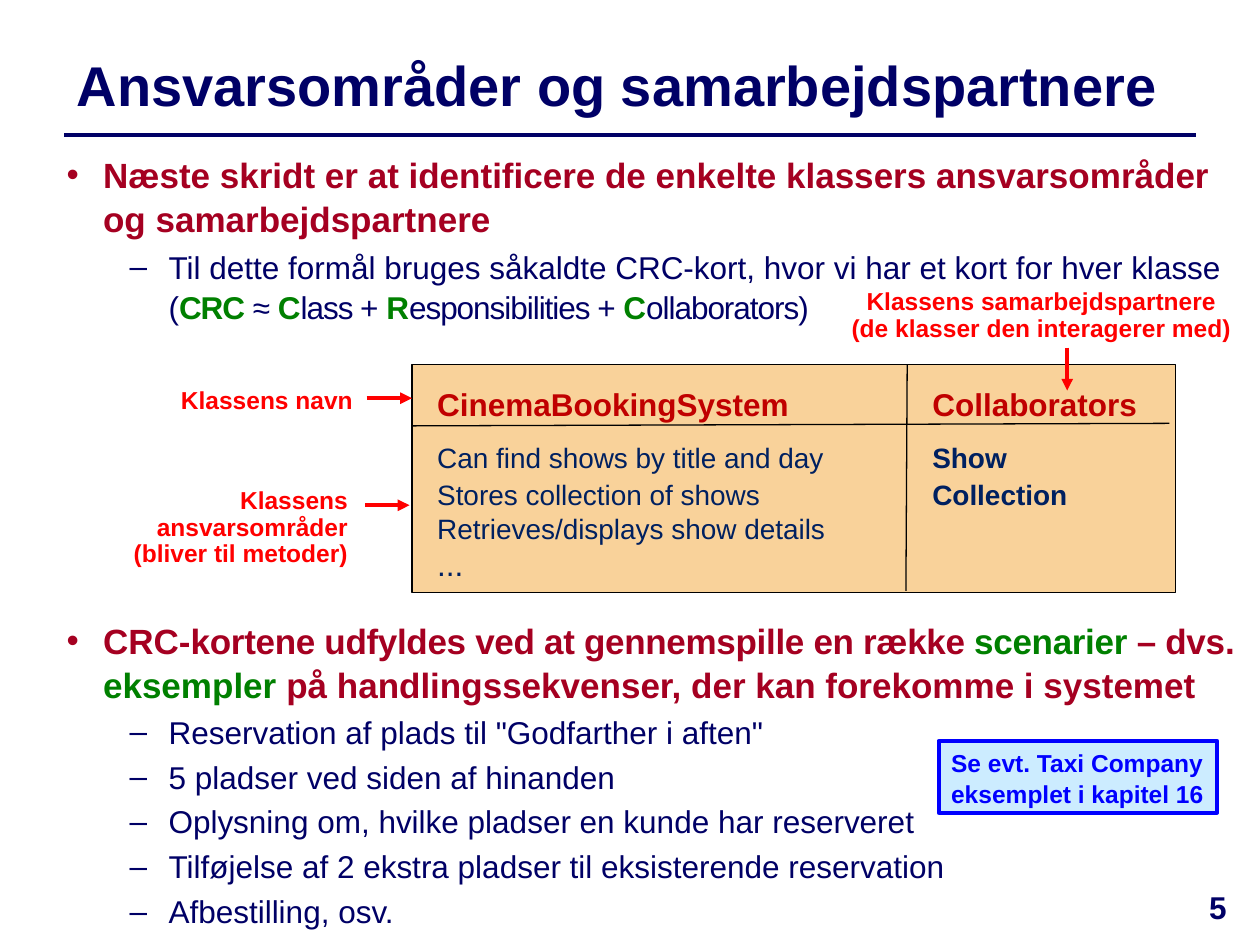
from copy import deepcopy

from lxml.etree import SubElement as Sub
from pptx import Presentation
from pptx.dml.color import RGBColor as RGB
from pptx.enum.shapes import MSO_CONNECTOR as Conn, MSO_SHAPE as Kind
from pptx.enum.text import MSO_ANCHOR as Anchor, PP_ALIGN as Align
from pptx.oxml.ns import qn
from pptx.util import Inches, Pt

NAVY = RGB(0x00, 0x00, 0x66)
WINE = RGB(0xA5, 0x00, 0x21)
GREEN = RGB(0x00, 0x80, 0x00)
RED = RGB(0xFF, 0x00, 0x00)
BRICK = RGB(0xC0, 0x00, 0x00)
INK = RGB(0x00, 0x20, 0x60)
BLUE = RGB(0x00, 0x00, 0xFF)
SKY = RGB(0xCC, 0xEC, 0xFF)
SAND = RGB(0xF9, 0xD2, 0x9A)
WHITE = RGB(0xFF, 0xFF, 0xFF)
BLACK = RGB(0x00, 0x00, 0x00)


class Deck:
    """Holds the style and the current slide."""
    face = "Arial"

    def __init__(self, slide):
        self.slide = slide

    def style(self, run, size, color, bold, space=None):
        font = run.font
        font.name, font.size, font.bold = self.face, Pt(size), bold
        font.color.rgb = color
        if space is not None:
            run._r.get_or_add_rPr().set("spc", str(round(space * 100)))

    def fill_par(self, par, text, size, color, bold=True, align=Align.LEFT,
                 lead=1.0, before=0, after=0):
        """Text is a string, or a list of strings and (string, changes)."""
        base = dict(size=size, color=color, bold=bold)
        if isinstance(text, str):
            par.text = text
            for run in par.runs:
                self.style(run, **base)
        else:
            for part in text:
                words, diff = (part, {}) if isinstance(part, str) else part
                if words == "\v":
                    par.add_line_break()
                    continue
                run = par.add_run()
                run.text = words
                self.style(run, **{**base, **diff})
        # Line breaks take the size of the text
        for brk in par._p.findall(qn("a:br")):
            brk.append(deepcopy(par.runs[0]._r.rPr))
        par.alignment, par.line_spacing = align, lead
        par.space_before, par.space_after = Pt(before), Pt(after)

    def frame(self, shape, anchor=Anchor.TOP):
        frame = shape.text_frame
        frame.word_wrap, frame.vertical_anchor = True, anchor
        return frame

    def text(self, box, text, size, color, anchor=Anchor.TOP, **look):
        shape = self.slide.shapes.add_textbox(*map(Inches, box))
        frame = self.frame(shape, anchor)
        self.fill_par(frame.paragraphs[0], text, size, color, **look)

    def rect(self, box, fill, edge=None, width=0.75):
        shape = self.slide.shapes.add_shape(Kind.RECTANGLE, *map(Inches, box))
        shape.shadow.inherit = False
        shape.fill.solid()
        shape.fill.fore_color.rgb = fill
        if edge is None:
            shape.line.fill.background()
        else:
            shape.line.color.rgb, shape.line.width = edge, Pt(width)
        return self.frame(shape)

    def line(self, start, end, color, width, arrow=False):
        ends = map(Inches, (*start, *end))
        line = self.slide.shapes.add_connector(Conn.STRAIGHT, *ends)
        line.line.color.rgb, line.line.width = color, Pt(width)
        if arrow:
            Sub(line.line._get_or_add_ln(), qn("a:tailEnd"), type="triangle")
        Sub(line._element.spPr, qn("a:effectLst"))

    def bullets(self, frame, head, items, gap):
        """A wine-red heading with dashed items below it."""
        rows = [(head, "•", 0.29, 0.29, 20, WINE, True, 0)]
        rows += [(item, "–", 0.81, 0.31, 18, NAVY, False, gap)
                 for item in items]
        for i, (text, mark, left, hang, size, color, bold, before) in \
                enumerate(rows):
            par = frame.add_paragraph() if i else frame.paragraphs[0]
            props = par._p.get_or_add_pPr()
            props.set("marL", str(Inches(left)))
            props.set("indent", str(-Inches(hang)))
            Sub(props, qn("a:buFont"), typeface=self.face)
            Sub(props, qn("a:buChar"), char=mark)
            self.fill_par(par, text, size, color, bold, lead=1.05,
                          before=before)

    def card(self, box, tab, rows):
        frame = self.rect(box, SAND, BLACK)
        frame.margin_left = Inches(0.2)
        for i, (text, look) in enumerate(rows):
            par = frame.add_paragraph() if i else frame.paragraphs[0]
            self.fill_par(par, text, **look)
            tabs = Sub(par._p.get_or_add_pPr(), qn("a:tabLst"))
            Sub(tabs, qn("a:tab"), pos=str(Inches(tab)), algn="l")


def main():
    prs = Presentation()
    prs.slide_width, prs.slide_height = Inches(10), Inches(7.5)
    deck = Deck(prs.slides.add_slide(prs.slide_layouts[6]))
    green = dict(color=GREEN)
    key = dict(color=GREEN, bold=True, space=-0.6)
    tight = dict(space=-0.6)
    near = dict(space=-0.2)
    strong = dict(bold=True)

    # Title, rule and page number
    deck.line((0.51, 1.07), (9.49, 1.07), NAVY, 2)
    deck.text((0.51, 0.29, 9.37, 0.75), "Ansvarsområder og samarbejdspartnere",
              32, NAVY, Anchor.MIDDLE)
    deck.text((9.33, 7, 0.67, 0.5), "5", 18, NAVY, align=Align.CENTER)

    # Purpose of the cards
    deck.bullets(
        deck.rect((0.43, 1.15, 9.44, 1.37), WHITE),
        "Næste skridt er at identificere de enkelte klassers "
        "ansvarsområder og samarbejdspartnere",
        [["Til dette formål bruges såkaldte CRC-kort, hvor vi har et kort "
          "for hver klasse", "\v", ("(", tight), ("CRC ", key), ("≈ ", tight),
          ("C", key), ("lass + ", tight), ("R", key),
          ("esponsibilities + ", tight), ("C", key),
          ("ollaborators)", tight)]], 4)

    # CRC card
    body = dict(size=16, color=INK, bold=False)
    deck.card((3.27, 2.89, 6.06, 1.81), 3.93, [
        ("CinemaBookingSystem\tCollaborators",
         dict(size=18, color=BRICK, lead=1.4, after=8)),
        (["Can find shows by title and day\t", ("Show", strong), "\v",
          "Stores collection of shows", ("\tCollection", strong)],
         dict(body, lead=1.1)),
        (["Retrieves/displays show details", "\v", ("...", dict(size=18))],
         body)])
    deck.line((3.27, 3.38), (9.28, 3.36), BLACK, 0.75)
    deck.line((7.2, 2.89), (7.19, 4.69), BLACK, 0.75)

    # Red labels and their arrows
    for box, label, align, lead, start, end in (
            ((1.17, 3.01, 1.73, 0.34), "Klassens navn",
             Align.RIGHT, 1.0, (2.91, 3.16), (3.27, 3.16)),
            ((0.82, 3.83, 2.04, 0.74),
             "Klassens ansvarsområder\v(bliver til metoder)",
             Align.RIGHT, 0.9, (2.9, 4.01), (3.25, 4.01)),
            ((6.65, 2.25, 3.23, 0.53),
             "Klassens samarbejdspartnere\v(de klasser den interagerer med)",
             Align.CENTER, 0.9, (8.47, 2.76), (8.47, 3.1))):
        deck.text(box, label, 14, RED, align=align, lead=lead)
        deck.line(start, end, RED, 2.25, arrow=True)

    # Scenarios
    area = deck.slide.shapes.add_textbox(
        *map(Inches, (0.43, 4.85, 9.57, 2.44)))
    deck.bullets(
        deck.frame(area),
        ["CRC-", ("kortene udfyldes ved at gennemspille en række ", near),
         ("scenarier", dict(green, **near)), (" – dvs", near), ". ",
         ("eksempler", green),
         " på handlingssekvenser, der kan forekomme i systemet"],
        ['Reservation af plads til "Godfarther i aften"',
         "5 pladser ved siden af hinanden",
         "Oplysning om, hvilke pladser en kunde har reserveret",
         "Tilføjelse af 2 ekstra pladser til eksisterende reservation",
         "Afbestilling, osv."], 3)

    # Reading hint
    hint = deck.rect((7.45, 5.88, 2.21, 0.57), SKY, BLUE, 2.25)
    deck.fill_par(hint.paragraphs[0],
                  "Se evt. Taxi Company eksemplet i kapitel 16",
                  14, BLUE, lead=1.05)

    prs.save("out.pptx")


if __name__ == "__main__":
    main()
